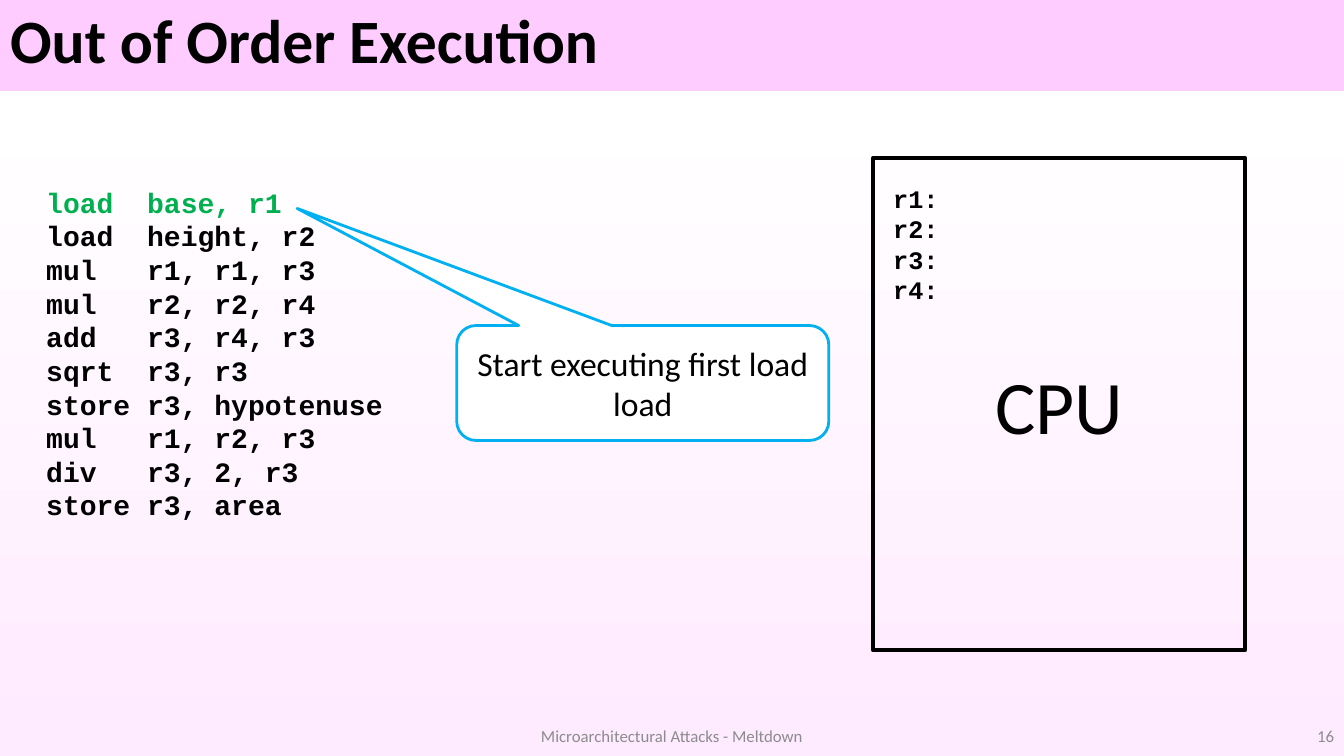
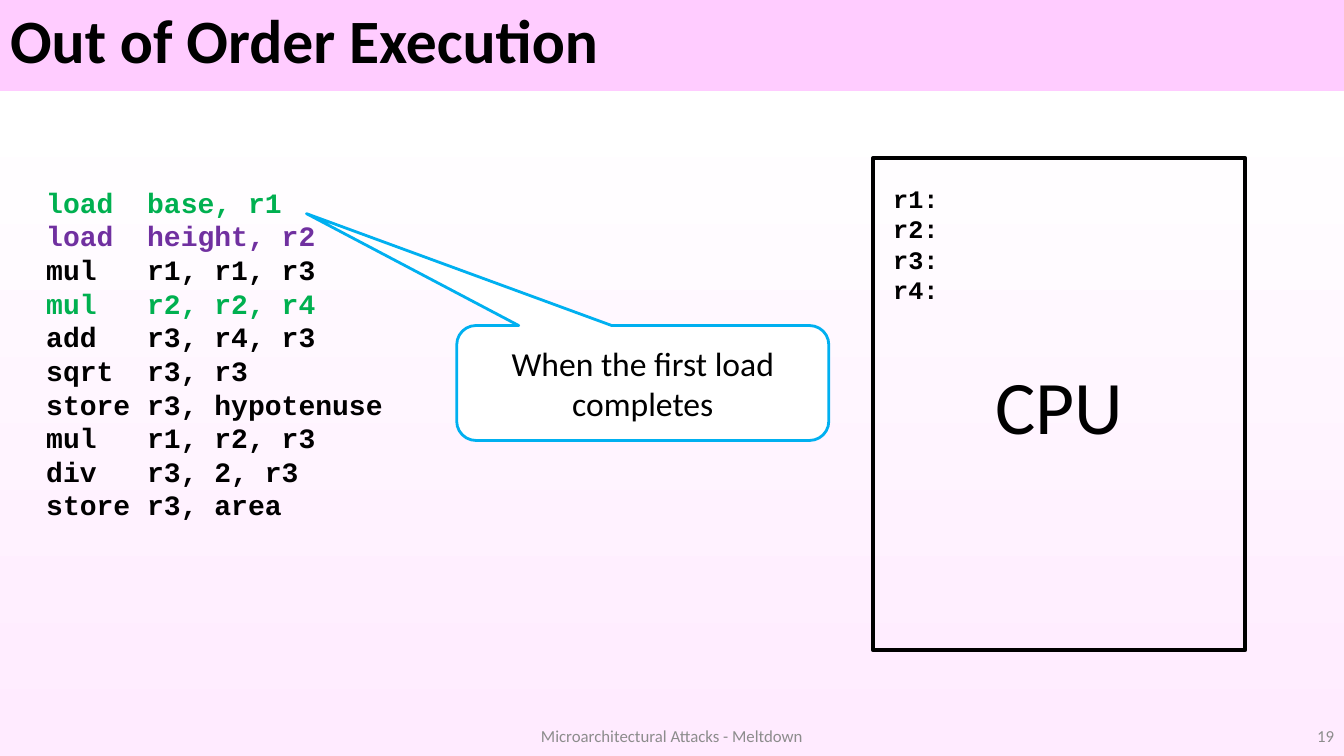
from lxml import etree
from pptx import Presentation
from pptx import util as u
from pptx.dml.color import RGBColor
from pptx.enum import shapes, text
from pptx.oxml.ns import qn

COLORS = {
    "band": "FFCCFF",
    "paper": "FFFFFF",
    "blush": "FFEBFF",
    "ink": "000000",
    "muted": "8C8C8C",
    "running": "00B050",
    "done": "7030A0",
    "callout": "00B0F0",
}
BACKGROUND_STOPS = [(0, "band"), (12, "band"), (12, "paper"), (100, "blush")]
SLIDE_BOX = (0, 0, 13.33, 7.5)
TITLE_HEIGHT = 0.87
FOOTER_HEIGHT = 0.4
CODE_BOX = (0.36, 1.79, 3.82, 3.47)
CPU_BOX = (8.66, 1.57, 3.69, 4.88)
CALLOUT_BOX = (4.53, 3.23, 3.69, 1.14)

TITLE = "Out of Order Execution"
FOOTER = "Microarchitectural Attacks - Meltdown"
PROGRAM = [
    "load  base, r1",
    "load  height, r2",
    "mul   r1, r1, r3",
    "mul   r2, r2, r4",
    "add   r3, r4, r3",
    "sqrt  r3, r3",
    "store r3, hypotenuse",
    "mul   r1, r2, r3",
    "div   r3, 2, r3",
    "store r3, area",
]
REGISTERS = ["r1:", "r2:", "r3:", "r4:"]

# States are keyed by program line, counted from zero.
STEPS = [
    {"number": 16, "message": "Start executing first load load",
     "states": {0: "running"}, "tip": (-0.929, -1.519)},
    {"number": 19, "message": "When the first load completes",
     "states": {0: "running", 1: "done", 3: "running"}, "tip": (-0.904, -1.474)},
]


def rgb(name):
    return RGBColor.from_string(COLORS[name])


def inches(box):
    return [u.Inches(length) for length in box]


def write(shape, lines, size, font="Calibri", color="ink", bold=False,
          align="LEFT", anchor="MIDDLE", spacing=None, line_colors=None):
    """Fill a shape with one paragraph per line; line_colors overrides color by index."""
    frame = shape.text_frame
    frame.word_wrap = True
    frame.auto_size = text.MSO_AUTO_SIZE.NONE
    frame.vertical_anchor = text.MSO_ANCHOR[anchor]
    for index, line in enumerate(lines):
        para = frame.paragraphs[0] if index == 0 else frame.add_paragraph()
        para.alignment = text.PP_ALIGN[align]
        if spacing:
            para.line_spacing = spacing
        span = para.add_run()
        span.text = line
        span.font.name = font
        span.font.size = u.Pt(size)
        span.font.bold = bold
        span.font.color.rgb = rgb((line_colors or {}).get(index, color))


def add_outlined(parent, kind, box, line, width, fill=None):
    shape = parent.add_shape(kind, *inches(box))
    shape.shadow.inherit = False
    if fill:
        shape.fill.solid()
        shape.fill.fore_color.rgb = rgb(fill)
    else:
        shape.fill.background()
    shape.line.color.rgb = rgb(line)
    shape.line.width = u.Pt(width)
    return shape


def style_master(master):
    """Give every slide the title band and the soft gradient below it."""
    fill = master.background.fill
    fill.gradient()
    fill.gradient_angle = 270
    stops = master.element.find(".//" + qn("a:gsLst"))
    for stop in list(stops):
        stops.remove(stop)
    for percent, name in BACKGROUND_STOPS:
        stop = etree.SubElement(stops, qn("a:gs"), pos=str(percent * 1000))
        etree.SubElement(stop, qn("a:srgbClr"), val=COLORS[name])


def add_title(page, box):
    title = page.shapes.title
    title.left, title.top, title.width, title.height = inches(box)
    write(title, [TITLE], 44, bold=True, spacing=0.9)


def add_code(page, box, states):
    code = page.shapes.add_textbox(*inches(box))
    write(code, PROGRAM, 20, font="Courier New", bold=True, anchor="TOP",
          line_colors=states)


def add_cpu(page, box):
    left, top, _, _ = box
    group = page.shapes.add_group_shape()
    chip = add_outlined(group.shapes, shapes.MSO_SHAPE.RECTANGLE, box, "ink", 3)
    write(chip, ["CPU"], 54, align="CENTER")
    registers = group.shapes.add_textbox(*inches((left + 0.1, top + 0.2, 1.88, 1.31)))
    write(registers, REGISTERS, 18, font="Courier New", bold=True, anchor="TOP")


def add_callout(page, box, message, tip):
    callout = add_outlined(page.shapes, shapes.MSO_SHAPE.ROUNDED_RECTANGULAR_CALLOUT,
                           box, "callout", 2, fill="paper")
    callout.adjustments[0], callout.adjustments[1] = tip
    callout.adjustments[2] = 0.167
    write(callout, [message], 24, align="CENTER")


def add_footer(page, box, number):
    left, top, width, height = box
    parts = [
        (str(number), left + width - 3, 3, "RIGHT"),
        (FOOTER, left + (width - 4.5) / 2, 4.5, "CENTER"),
    ]
    for label, part_left, part_width, align in parts:
        part = page.shapes.add_textbox(*inches((part_left, top, part_width, height)))
        write(part, [label], 12, color="muted", align=align)


def add_step(deck, box, step):
    left, top, width, height = box
    page = deck.slides.add_slide(deck.slide_layouts.get_by_name("Title Only"))
    add_title(page, (left, top, width, TITLE_HEIGHT))
    add_code(page, CODE_BOX, step["states"])
    add_cpu(page, CPU_BOX)
    add_callout(page, CALLOUT_BOX, step["message"], step["tip"])
    footer_top = top + height - FOOTER_HEIGHT
    add_footer(page, (left, footer_top, width, FOOTER_HEIGHT), step["number"])


def main():
    deck = Presentation()
    deck.slide_width, deck.slide_height = inches(SLIDE_BOX[2:])
    style_master(deck.slide_master)
    for step in STEPS:
        add_step(deck, SLIDE_BOX, step)
    deck.save("out.pptx")


if __name__ == "__main__":
    main()
